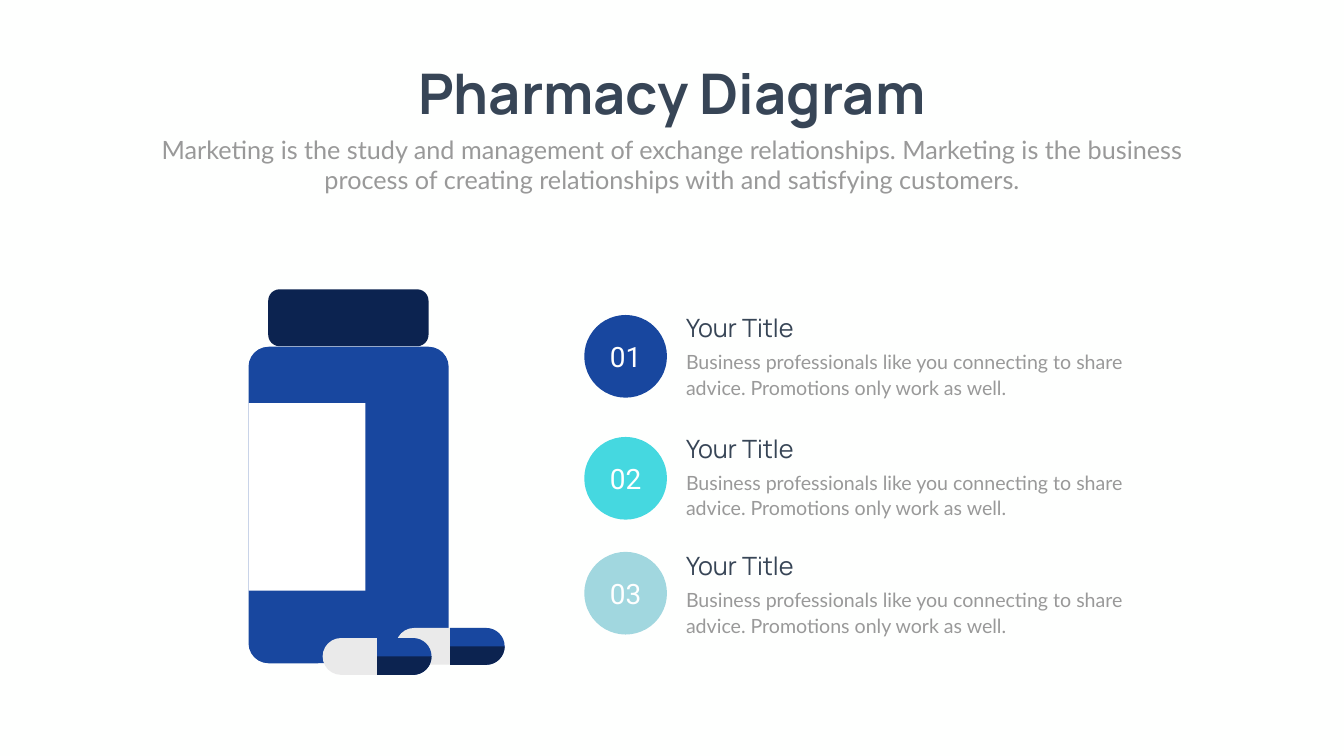
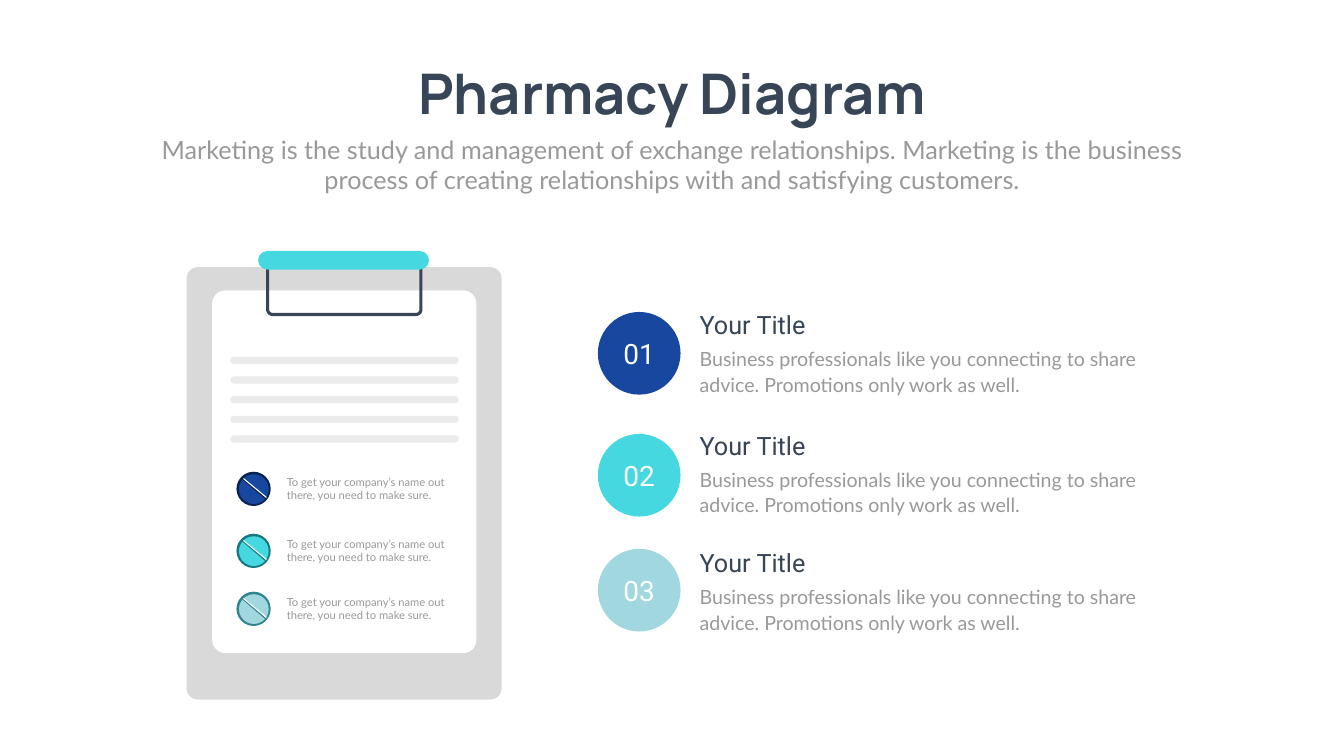
from math import cos, radians, sin

from pptx import Presentation
from pptx.dml.color import RGBColor
from pptx.enum.shapes import MSO_SHAPE
from pptx.enum.text import MSO_ANCHOR, MSO_AUTO_SIZE, PP_ALIGN
from pptx.util import Inches, Pt

PAPER = RGBColor(0xFE, 0xFF, 0xFE)
WHITE = RGBColor(0xFF, 0xFF, 0xFF)
SLATE = RGBColor(0x37, 0x45, 0x56)
GREY = RGBColor(0x99, 0x99, 0x99)
BOARD = RGBColor(0xD9, 0xD9, 0xD9)
RULE = RGBColor(0xEB, 0xEB, 0xEB)
SHELL = RGBColor(0xEA, 0xEA, 0xEA)
BLUE = RGBColor(0x18, 0x47, 0x9F)
NAVY = RGBColor(0x0C, 0x23, 0x50)
CYAN = RGBColor(0x45, 0xD8, 0xE0)
TEAL = RGBColor(0x15, 0x78, 0x7E)
PALE = RGBColor(0xA1, 0xD7, 0xDF)
STEEL = RGBColor(0x31, 0x83, 0x8F)

TITLE = "Pharmacy Diagram"
SUBTITLE = (
    "Marketing is the study and management of exchange relationships. "
    "Marketing is the business process of creating relationships with and satisfying customers."
)
ITEM_TITLE = "Your Title"
ITEM_TEXT = "Business professionals like you connecting to share advice. Promotions only work as well."
TABLET_TEXT = "To get your company’s name out there, you need to make sure."


def write(tf, text, size, font, color, align=PP_ALIGN.LEFT, spacing=None):
    """Write one formatted run into the first paragraph of a text frame."""
    p = tf.paragraphs[0]
    p.alignment = align
    if spacing:
        p.line_spacing = Pt(spacing)
    r = p.add_run()
    r.text = text
    r.font.size = Pt(size)
    r.font.name = font
    r.font.color.rgb = color
    return r


def add_text(shapes, box, text, size, font, color, **style):
    """Add a wrapping text box that grows with its text."""
    tf = shapes.add_textbox(*map(Inches, box)).text_frame
    tf.word_wrap = True
    tf.auto_size = MSO_AUTO_SIZE.SHAPE_TO_FIT_TEXT
    write(tf, text, size, font, color, **style)


def paint(sp, fill):
    """Give a shape a plain fill without line or shadow."""
    sp.shadow.inherit = False
    sp.fill.solid()
    sp.fill.fore_color.rgb = fill
    sp.line.fill.background()
    return sp


def add_preset(shapes, kind, box, fill, radius=None):
    """Add a plain preset shape, with an optional corner ratio."""
    sp = shapes.add_shape(kind, *map(Inches, box))
    if radius is not None:
        sp.adjustments[0] = radius
    return paint(sp, fill)


def add_outline(shapes, left, top, points, close=True):
    """Add a freeform through points given relative to left and top."""
    pts = [(Inches(left + x), Inches(top + y)) for x, y in points]
    builder = shapes.build_freeform(*pts[0])
    builder.add_line_segments(pts[1:], close=close)
    return builder.convert_to_shape()


def arc(cx, cy, radius, start, end, steps=16):
    """Return points along an arc, with angles in degrees clockwise from the right."""
    angles = [radians(start + (end - start) * i / steps) for i in range(steps + 1)]
    return [(cx + radius * cos(a), cy + radius * sin(a)) for a in angles]


def add_heading(s):
    """Fill the title placeholder and add the subtitle."""
    sp = s.shapes.title
    sp.left, sp.top, sp.width, sp.height = map(Inches, (7.54, 1.12, 11.58, 1.45))
    tf = sp.text_frame
    tf.word_wrap = False
    tf.auto_size = MSO_AUTO_SIZE.SHAPE_TO_FIT_TEXT
    tf.vertical_anchor = MSO_ANCHOR.TOP
    write(tf, TITLE, 80, "Manrope", SLATE, PP_ALIGN.CENTER).font.bold = True
    add_text(s.shapes, (2.92, 2.61, 20.82, 1.31), SUBTITLE, 36, "Lato", GREY, align=PP_ALIGN.CENTER)


def add_items(s, left, top, title_font):
    """Add three numbered circles, each with a title and a description."""
    rows = [(BLUE, 0.1, 0), (CYAN, 2.52, 2.39), (PALE, 4.8, 4.72)]
    for number, (color, circle_y, text_y) in enumerate(rows, 1):
        circle = add_preset(s.shapes, MSO_SHAPE.OVAL, (left, top + circle_y, 1.64, 1.64), color)
        tf = circle.text_frame
        tf.vertical_anchor = MSO_ANCHOR.MIDDLE
        write(tf, f"{number:02}", 40, "Roboto", WHITE, PP_ALIGN.CENTER)
        x, y = left + 1.92, top + text_y
        add_text(s.shapes, (x, y + 0.71, 9.17, 1.13), ITEM_TEXT, 28, "Lato", GREY, spacing=36.6)
        add_text(s.shapes, (x, y, 4.12, 0.71), ITEM_TITLE, 36, title_font, SLATE)


def add_capsule(s, left, top):
    """Add a capsule with a pale half and a two-tone half."""
    width, height = 2.16, 0.73
    mid, r = width / 2, height / 2
    shapes = s.shapes.add_group_shape().shapes
    add_preset(shapes, MSO_SHAPE.ROUNDED_RECTANGLE, (left, top, width, height), SHELL, 0.5)
    half = [(mid, 0), *arc(width - r, r, r, -90, 90), (mid, height)]
    shade = [(mid, r), *arc(width - r, r, r, 0, 90), (mid, height)]
    paint(add_outline(shapes, left, top, half), BLUE)
    paint(add_outline(shapes, left, top, shade), NAVY)


def add_bottle(s, left, top):
    """Add a pill bottle with a blank label and two capsules."""
    shapes = s.shapes.add_group_shape().shapes
    add_preset(shapes, MSO_SHAPE.ROUNDED_RECTANGLE, (left, top + 1.14, 3.97, 6.28), BLUE, 0.1)
    add_preset(shapes, MSO_SHAPE.RECTANGLE, (left, top + 2.26, 2.32, 3.72), WHITE)
    add_preset(shapes, MSO_SHAPE.ROUNDED_RECTANGLE, (left + 0.39, top, 3.18, 1.13), NAVY, 0.2)
    add_capsule(s, left + 2.92, top + 6.72)
    add_capsule(s, left + 1.47, top + 6.92)


def add_tablet(s, left, top, fill, edge):
    """Add a round tablet with a diagonal score line."""
    shapes = s.shapes.add_group_shape().shapes
    add_preset(shapes, MSO_SHAPE.OVAL, (left, top, 0.68, 0.68), edge)
    add_preset(shapes, MSO_SHAPE.OVAL, (left + 0.05, top + 0.05, 0.59, 0.59), fill)
    groove = [(0.1, 0.14), (0.14, 0.14), (0.57, 0.51), (0.59, 0.55), (0.58, 0.55)]
    shine = [(0.13, 0.14), (0.59, 0.52), (0.6, 0.5), (0.15, 0.13)]
    paint(add_outline(shapes, left, top, groove), edge)
    paint(add_outline(shapes, left, top, shine), WHITE)


def add_clipboard(s, left, top):
    """Add a clipboard with ruled lines and three tablets with captions."""
    rounded = MSO_SHAPE.ROUNDED_RECTANGLE
    add_preset(s.shapes, rounded, (left, top + 0.32, 6.25, 8.58), BOARD, 0.036)
    add_preset(s.shapes, rounded, (left + 0.51, top + 0.78, 5.24, 7.2), WHITE, 0.05)

    width, height, r = 3.04, 1.1, 0.1
    wire = [
        (width, 0),
        *arc(width - r, height - r, r, 0, 90),
        *arc(r, height - r, r, 90, 180),
        (0, 0),
    ]
    clip = add_outline(s.shapes, left + 1.61, top + 0.16, wire, close=False)
    clip.shadow.inherit = False
    clip.fill.background()
    clip.line.color.rgb = SLATE
    clip.line.width = Pt(4.42)
    add_preset(s.shapes, rounded, (left + 1.42, top, 3.39, 0.37), CYAN, 0.5)

    for i in range(5):
        add_preset(s.shapes, rounded, (left + 0.87, top + 2.1 + 0.39 * i, 4.53, 0.14), RULE, 0.5)
    for y, fill, edge in [(4.38, BLUE, NAVY), (5.61, CYAN, TEAL), (6.76, PALE, STEEL)]:
        add_tablet(s, left + 0.99, top + y, fill, edge)
        add_text(s.shapes, (left + 1.89, top + y + 0.02, 3.48, 0.64), TABLET_TEXT, 16, "Lato", GREY)


def add_slide(prs):
    """Add a title-only slide with the shared heading."""
    s = prs.slides.add_slide(prs.slide_layouts[5])
    add_heading(s)
    return s


def main():
    """Build both slides and save the presentation."""
    prs = Presentation()
    prs.slide_width, prs.slide_height = Inches(26.66), Inches(15)
    fill = prs.slide_master.background.fill
    fill.solid()
    fill.fore_color.rgb = PAPER

    s = add_slide(prs)
    add_bottle(s, 4.93, 5.74)
    add_items(s, 11.59, 6.15, "Manrope")

    s = add_slide(prs)
    add_clipboard(s, 3.7, 4.98)
    add_items(s, 11.86, 6.09, "Roboto")
    prs.save("out.pptx")


if __name__ == "__main__":
    main()
